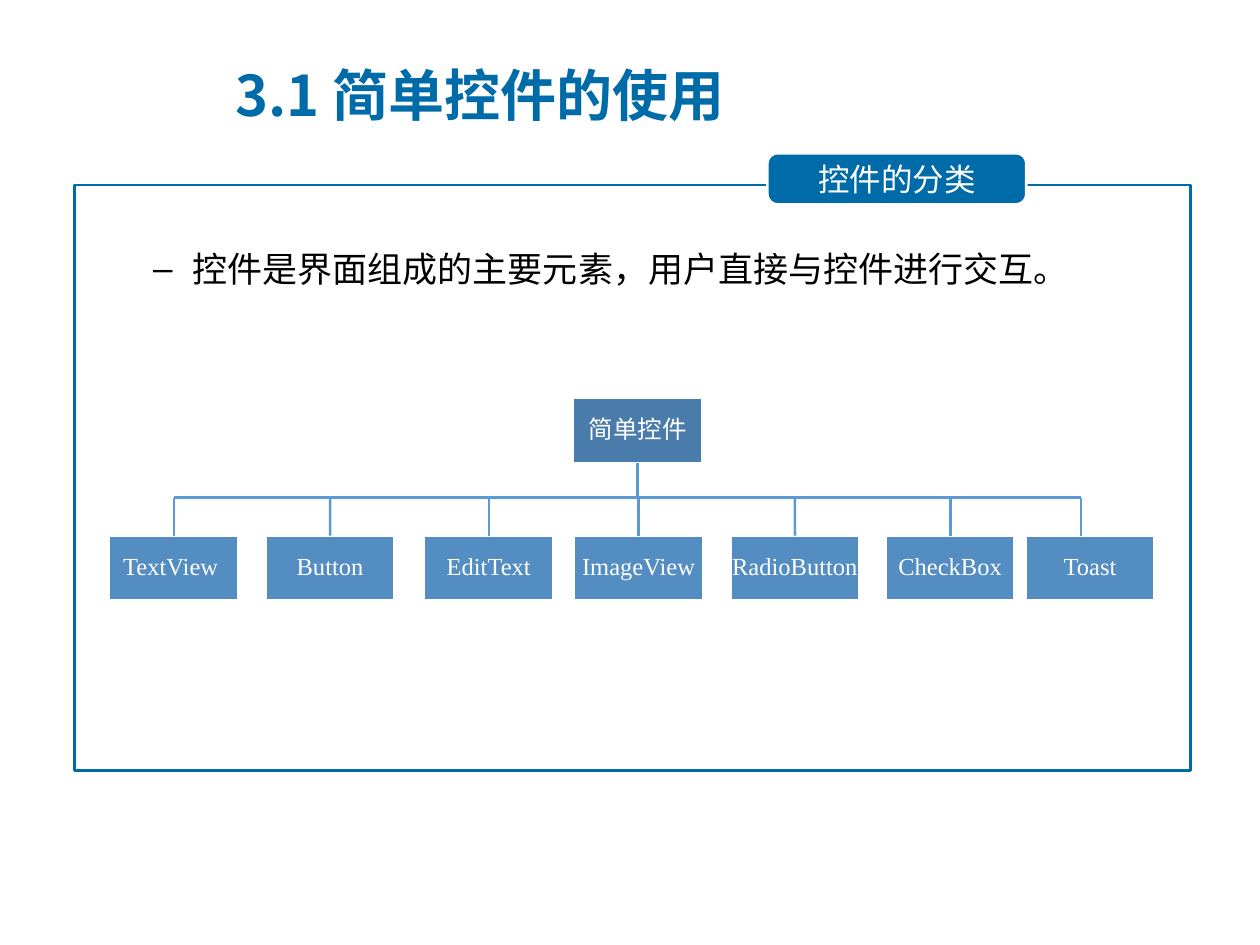
from lxml import etree
from pptx import Presentation
from pptx.dml.color import RGBColor
from pptx.enum.shapes import MSO_CONNECTOR, MSO_SHAPE
from pptx.enum.text import MSO_ANCHOR, PP_ALIGN
from pptx.oxml.ns import qn
from pptx.util import Cm, Pt

RECTANGLE = MSO_SHAPE.RECTANGLE
ROUNDED = MSO_SHAPE.ROUNDED_RECTANGLE
STRAIGHT = MSO_CONNECTOR.STRAIGHT
MIDDLE = MSO_ANCHOR.MIDDLE
CENTER = PP_ALIGN.CENTER
TOP, BOTTOM = 0, 2

CJK_FONT = "Noto Sans CJK SC"
BLUE, WHITE, BLACK = "006BA9", "FFFFFF", "000000"
ROOT_FILL, LEAF_FILL, LINE_BLUE = "497CAB", "538DC1", "5B9BD5"

# Name and left offset of each leaf in the diagram, in cm
LEAVES = [("TextView ", 0), ("Button", 3.15), ("EditText", 6.35),
          ("ImageView", 9.37), ("RadioButton", 12.52),
          ("CheckBox", 15.65), ("Toast", 18.47)]
NODE_WIDTH, NODE_HEIGHT = 2.59, 1.3
ROOT_LEFT, BUS_TOP, LEAF_TOP = 9.35, 2.0, 2.77
BUS_RIGHT = 19.58


def color(value):
    return RGBColor.from_string(value)


def write(shape, text, size, font, font_color, bold=False):
    """Put one formatted paragraph into a shape and return it."""
    frame = shape.text_frame
    frame.word_wrap = True
    frame.text = text
    paragraph = frame.paragraphs[0]
    run = paragraph.runs[0]
    run.font.size, run.font.name, run.font.bold = Pt(size), font, bold
    run.font.color.rgb = color(font_color)
    east_asian = etree.SubElement(run.font._element, qn("a:ea"))
    east_asian.set("typeface", CJK_FONT)
    return paragraph


def set_margins(frame, horizontal, vertical):
    frame.margin_left = frame.margin_right = Cm(horizontal)
    frame.margin_top = frame.margin_bottom = Cm(vertical)


def add_box(slide, kind, left, top, width, height, fill, line, weight):
    shape = slide.shapes.add_shape(kind, Cm(left), Cm(top), Cm(width), Cm(height))
    shape.shadow.inherit = False
    if fill:
        shape.fill.solid()
        shape.fill.fore_color.rgb = color(fill)
    else:
        shape.fill.background()
    shape.line.color.rgb = color(line)
    shape.line.width = Pt(weight)
    return shape


def add_line(slide, x1, y1, x2, y2):
    line = slide.shapes.add_connector(STRAIGHT, Cm(x1), Cm(y1), Cm(x2), Cm(y2))
    line.line.color.rgb = color(LINE_BLUE)
    line.line.width = Pt(1.5)
    etree.SubElement(line._element.spPr, qn("a:effectLst"))
    return line


def add_title(slide, left, top, width, height):
    box = slide.shapes.add_textbox(Cm(left), Cm(top), Cm(width), Cm(height))
    write(box, "3.1 简单控件的使用", 32, CJK_FONT, BLUE, bold=True)
    box.text_frame.vertical_anchor = MIDDLE


def add_statement(slide, left, top, width, height):
    box = slide.shapes.add_textbox(Cm(left), Cm(top), Cm(width), Cm(height))
    paragraph = write(box, "控件是界面组成的主要元素，用户直接与控件进行交互。",
                      20, "Calibri", BLACK)
    paragraph.level = 1
    paragraph.line_spacing = 1.5
    paragraph.space_before = Pt(4)
    # Dash bullet with a hanging indent
    properties = paragraph._p.get_or_add_pPr()
    properties.set("marL", str(Cm(2.06)))
    properties.set("indent", str(Cm(-0.79)))
    etree.SubElement(properties, qn("a:buFont")).set("typeface", "Arial")
    etree.SubElement(properties, qn("a:buChar")).set("char", "–")


def add_node(slide, left, top, text, font, fill):
    node = add_box(slide, RECTANGLE, left, top, NODE_WIDTH, NODE_HEIGHT, fill, WHITE, 1)
    paragraph = write(node, text, 14, font, WHITE)
    paragraph.alignment = CENTER
    paragraph.line_spacing = 0.9
    node.text_frame.vertical_anchor = MIDDLE
    set_margins(node.text_frame, 0.02, 0.02)
    return node


def add_diagram(slide, left, top):
    """Tree of one root, a horizontal bus and a row of leaves."""
    bus = top + BUS_TOP
    leaf_top = top + LEAF_TOP
    half = NODE_WIDTH / 2
    root = add_node(slide, left + ROOT_LEFT, top, "简单控件", "Arial", ROOT_FILL)
    leaves = [add_node(slide, left + offset, leaf_top, name, "Times New Roman", LEAF_FILL)
              for name, offset in LEAVES]

    # Trunk and bus
    center = left + ROOT_LEFT + half
    trunk = add_line(slide, center, top + NODE_HEIGHT, center, bus)
    trunk.begin_connect(root, BOTTOM)
    add_line(slide, left + half, bus, left + BUS_RIGHT, bus)

    # Stems; the last one drops from the end of the bus, off its leaf's centre
    for leaf, (_, offset) in zip(leaves[:-1], LEAVES):
        x = left + offset + half
        stem = add_line(slide, x, bus, x, leaf_top)
        stem.end_connect(leaf, TOP)
    add_line(slide, left + BUS_RIGHT, bus, left + BUS_RIGHT, leaf_top)


def add_frame(slide, left, top, width, height):
    """Outlined panel with a label on its top edge."""
    add_box(slide, RECTANGLE, left, top, width, height, None, BLUE, 1.5)
    label = add_box(slide, ROUNDED, left + 13.97, top - 0.64, 5.22, 1.03, BLUE, WHITE, 1.5)
    label.adjustments[0] = 0.2
    write(label, "控件的分类", 18, CJK_FONT, WHITE).alignment = CENTER
    label.text_frame.vertical_anchor = MIDDLE
    set_margins(label.text_frame, 0.6, 0.15)


def main():
    presentation = Presentation()
    presentation.slide_width, presentation.slide_height = Cm(25.4), Cm(19.05)
    slide = presentation.slides.add_slide(presentation.slide_layouts[6])
    add_statement(slide, 1.57, 4.45, 22.15, 2.16)
    add_title(slide, 4.5, 1.12, 19.6, 1.55)
    add_diagram(slide, 2.21, 8.03)
    add_frame(slide, 1.5, 3.73, 22.5, 11.81)
    presentation.save("out.pptx")


if __name__ == "__main__":
    main()
